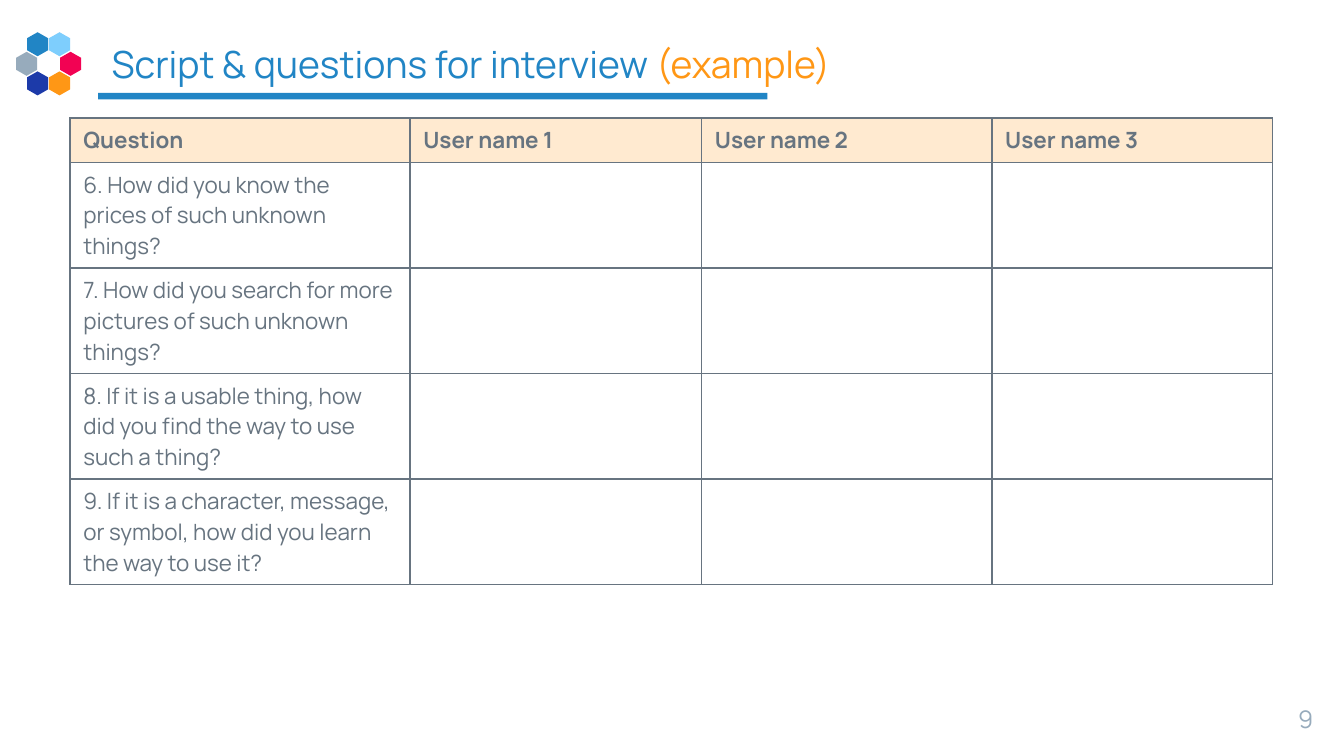
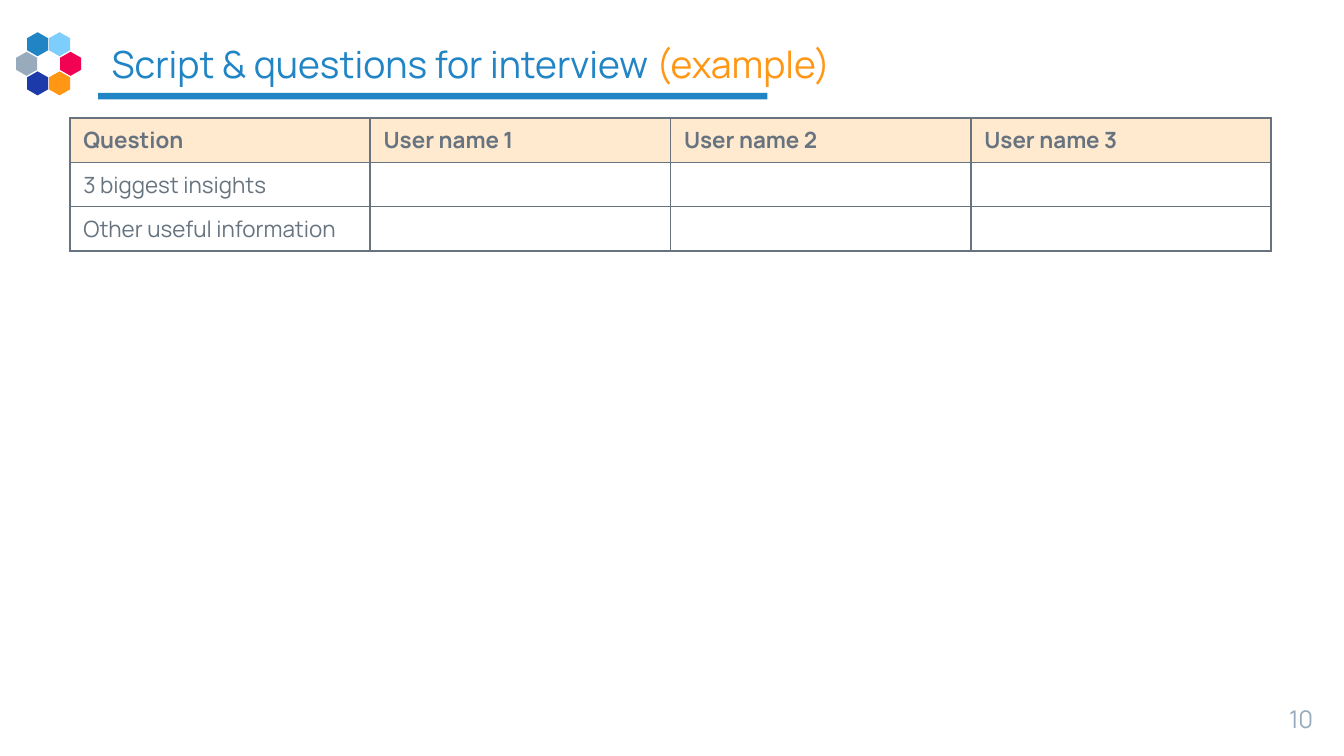
import collections

import pptx
import pptx.dml.color
import pptx.enum.shapes
import pptx.enum.text
import pptx.oxml
import pptx.oxml.ns
import pptx.util

COLUMNS, ROWS = 100, 56.25
CELL = pptx.util.Inches(0.1)
FONT = "Manrope"
BLUE, ORANGE, GREY, SLATE, CREAM = "2185C5", "FF9715", "97ABBC", "677480", "FFEAD0"
SKY, RED, NAVY = "7ECEFD", "F20253", "1C3AA9"

Box = collections.namedtuple("Box", "left top width height")
HONEYCOMB = Box(1.2, 2.4, 4.9, 4.7)
HEADING = Box(7.3, 2.5, 85.5, 4.4)
RULE = Box(7.3, 6.9, 49.8, 0.5)
ANSWERS = Box(5.2, 8.8, 89.4, 31)
PAGE_NUMBER = Box(92.7, 51.4, 6, 3.4)

TITLE = [("Script & questions for interview", BLUE), (" (example)", ORANGE)]
TABLE_HEADER = ["Question", "User name 1", "User name 2", "User name 3"]
HEADER_HEIGHT = 3

INTERVIEW_PAGES = [
    {
        "number": 9,
        "widths": [25.3, 21.7, 21.6, 20.9],
        "row_height": 7,
        "questions": [
            "6. How did you know the prices of such unknown things?",
            "7. How did you search for more pictures of such unknown things?",
            "8. If it is a usable thing, how did you find the way to use such a thing?",
            "9. If it is a character, message, or symbol, how did you learn the way to use it?",
        ],
    },
    {
        "number": 10,
        "widths": [ANSWERS.width / 4] * 4,
        "row_height": 3,
        "questions": ["3 biggest insights", "Other useful information"],
    },
]


def grid(cells):
    """Convert a count of grid cells to a length."""
    return pptx.util.Emu(round(cells * CELL))


def place(box):
    """Convert a grid box to left, top, width and height."""
    return [grid(side) for side in box]


def rgb(value):
    """Turn a hex string into a colour."""
    return pptx.dml.color.RGBColor.from_string(value)


def paint(shape, colour):
    """Give a shape a flat fill without line or shadow."""
    shape.shadow.inherit = False
    shape.fill.solid()
    shape.fill.fore_color.rgb = rgb(colour)
    shape.line.fill.background()


def style(run, size, colour, bold=False):
    """Format one run of text."""
    run.font.name = FONT
    run.font.size = pptx.util.Pt(size)
    run.font.bold = bold
    run.font.color.rgb = rgb(colour)


def inset(frame):
    """Wrap a text frame and give it one cell of margin on each side."""
    frame.word_wrap = True
    frame.auto_size = pptx.enum.text.MSO_AUTO_SIZE.NONE
    frame.margin_left = frame.margin_right = grid(1)
    frame.margin_top = frame.margin_bottom = grid(1)


def add_honeycomb(slide, box):
    """Draw a ring of six upright hexagons."""
    width, height = box.width * 0.32, box.height * 0.38
    ring = [(3, 0, SKY), (1, 0, BLUE), (0, 1, GREY),
            (4, 1, RED), (3, 2, ORANGE), (1, 2, NAVY)]
    corners = [(0.5, 0), (1, 0.25), (1, 0.75), (0.5, 1), (0, 0.75), (0, 0.25)]
    for half_column, row, colour in ring:
        left = box.left + half_column * box.width / 6
        top = box.top + row * box.height * 0.31
        points = [(grid(left + x * width), grid(top + y * height)) for x, y in corners]
        outline = slide.shapes.build_freeform(*points[0])
        outline.add_line_segments(points[1:], close=True)
        paint(outline.convert_to_shape(), colour)


def add_rule(slide, box):
    """Draw the band under the title."""
    band = slide.shapes.add_shape(pptx.enum.shapes.MSO_SHAPE.RECTANGLE, *place(box))
    paint(band, BLUE)


def add_heading(slide, box):
    """Fill the title placeholder with its two-coloured text."""
    title = slide.shapes.title
    title.left, title.top, title.width, title.height = place(box)
    frame = title.text_frame
    inset(frame)
    frame.vertical_anchor = pptx.enum.text.MSO_ANCHOR.MIDDLE
    paragraph = frame.paragraphs[0]
    paragraph.alignment = pptx.enum.text.PP_ALIGN.LEFT
    for words, colour in TITLE:
        run = paragraph.add_run()
        run.text = words
        style(run, 20, colour)


def add_page_number(slide, box, number):
    """Write the page number at the lower right."""
    frame = slide.shapes.add_textbox(*place(box)).text_frame
    inset(frame)
    frame.text = str(number)
    paragraph = frame.paragraphs[0]
    paragraph.alignment = pptx.enum.text.PP_ALIGN.RIGHT
    style(paragraph.runs[0], 13, GREY)


def add_borders(cell):
    """Draw a thin line on all four sides of a table cell."""
    properties = cell._tc.get_or_add_tcPr()
    for position, side in enumerate(["lnL", "lnR", "lnT", "lnB"]):
        line = pptx.oxml.parse_xml(
            f'<a:{side} {pptx.oxml.ns.nsdecls("a")} w="{pptx.util.Pt(1)}"><a:solidFill>'
            f'<a:srgbClr val="{SLATE}"/></a:solidFill></a:{side}>'
        )
        properties.insert(position, line)


def fill_cell(cell, words, header):
    """Set the text, fill and borders of a table cell."""
    cell.text_frame.text = words
    paragraph = cell.text_frame.paragraphs[0]
    paragraph._p.get_or_add_endParaRPr().set("sz", "1200")
    for run in paragraph.runs:
        style(run, 12, SLATE, bold=header)
    if header:
        cell.fill.solid()
        cell.fill.fore_color.rgb = rgb(CREAM)
    else:
        cell.fill.background()
    add_borders(cell)


def add_answers(slide, box, widths, row_height, questions):
    """Build the table of questions with an empty column for each user."""
    heights = [HEADER_HEIGHT] + [row_height] * len(questions)
    frame = box._replace(height=sum(heights))
    table = slide.shapes.add_table(len(heights), len(widths), *place(frame)).table
    table.horz_banding = False
    for column, width in zip(table.columns, widths):
        column.width = grid(width)
    blanks = [""] * (len(widths) - 1)
    contents = [TABLE_HEADER] + [[question] + blanks for question in questions]
    for index, (row, height) in enumerate(zip(table.rows, heights)):
        row.height = grid(height)
        for cell, words in zip(row.cells, contents[index]):
            fill_cell(cell, words, header=index == 0)


def add_interview_slide(deck, number, widths, row_height, questions):
    """Add one page of the interview script."""
    slide = deck.slides.add_slide(deck.slide_layouts[5])
    add_rule(slide, RULE)
    add_honeycomb(slide, HONEYCOMB)
    add_heading(slide, HEADING)
    add_page_number(slide, PAGE_NUMBER, number)
    add_answers(slide, ANSWERS, widths, row_height, questions)


def main():
    """Build and save the deck."""
    deck = pptx.Presentation()
    deck.slide_width, deck.slide_height = grid(COLUMNS), grid(ROWS)
    for page in INTERVIEW_PAGES:
        add_interview_slide(deck, **page)
    deck.save("out.pptx")


if __name__ == "__main__":
    main()
